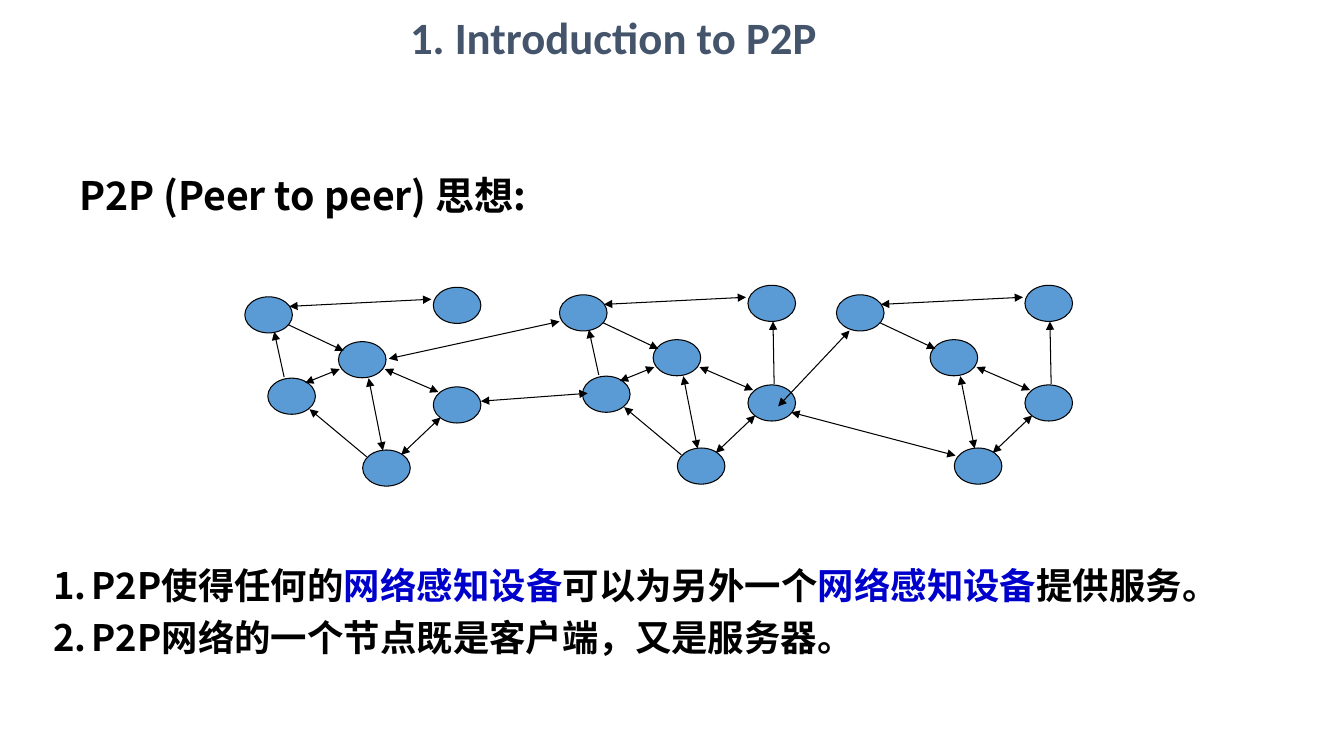
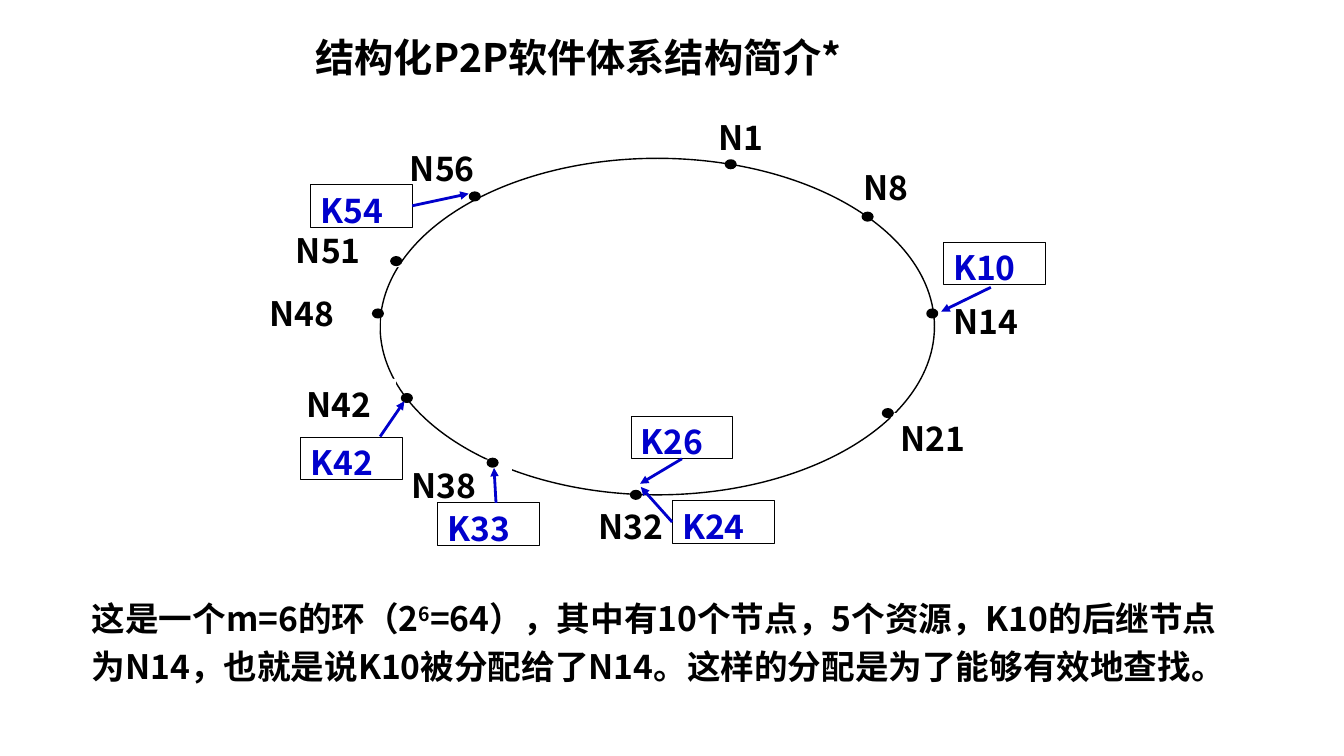
from dataclasses import dataclass

from lxml import etree
from pptx import Presentation
from pptx.dml.color import RGBColor
from pptx.enum.shapes import MSO_CONNECTOR, MSO_SHAPE as SHAPE
from pptx.enum.text import MSO_ANCHOR as ANCHOR, MSO_AUTO_SIZE as AUTO_SIZE, PP_ALIGN as ALIGN
from pptx.oxml.ns import qn
from pptx.util import Cm, Pt


@dataclass(frozen=True)
class Theme:
    cjk: str = "Noto Sans CJK SC"
    latin: str = "Calibri"
    black: str = "000000"
    white: str = "FFFFFF"
    slate: str = "44546A"
    node: str = "5B9BD5"
    key: str = "0000CC"
    title: int = 32
    heading: int = 28
    points: int = 26
    body: int = 24
    hairline: float = 0.5
    thin: float = 0.75
    ring: float = 1
    dot: float = 1.5
    thick: float = 2


T = Theme()


def put_text(p, text, size=T.body, color=T.black, font=T.cjk, align=ALIGN.LEFT, baseline=None):
    p.alignment = align
    r = p.add_run()
    r.text = text
    r.font.size, r.font.bold, r.font.name = Pt(size), True, font
    r.font.color.rgb = RGBColor.from_string(color)
    rPr = r._r.get_or_add_rPr()
    etree.SubElement(rPr, qn("a:ea")).set("typeface", font)
    if baseline:
        rPr.set("baseline", str(baseline * 1000))


def add_shape(s, kind, box, fill=None, line=None, width=T.thin):
    """Add a flat shape; box is left, top, width, height in cm."""
    sp = s.shapes.add_shape(kind, *map(Cm, box))
    sp.shadow.inherit = False
    if fill:
        sp.fill.solid()
        sp.fill.fore_color.rgb = RGBColor.from_string(fill)
    else:
        sp.fill.background()
    if line:
        sp.line.color.rgb = RGBColor.from_string(line)
        sp.line.width = Pt(width)
    else:
        sp.line.fill.background()
    sp.text_frame.vertical_anchor = ANCHOR.TOP
    return sp


prs = Presentation()
prs.slide_width, prs.slide_height = Cm(33.87), Cm(19.05)

# Titles
titles = [
    ("1. Introduction to P2P", (10.08, 0.05, 12.4, 1.75), 1,
     dict(size=T.title, color=T.slate, font=T.latin)),
    ("结构化P2P软件体系结构简介*", (7.7, 0.53, 17.83, 1.96), 0.9, dict(size=T.heading)),
]
slides = []
for text, box, spacing, style in titles:
    s = prs.slides.add_slide(prs.slide_layouts[5])
    title = s.shapes.title
    title.left, title.top, title.width, title.height = map(Cm, box)
    tf = title.text_frame
    tf.auto_size, tf.vertical_anchor, tf.word_wrap = AUTO_SIZE.NONE, ANCHOR.MIDDLE, True
    tf.paragraphs[0].line_spacing = spacing
    put_text(tf.paragraphs[0], text, **style)
    slides.append(s)
intro, chord = slides

# Text blocks: each paragraph is a list of (text, format) runs
key = dict(size=T.points, color=T.key)
plain = dict(size=T.points)
blocks = [
    (intro, (1.75, 4.19, 13.82, 1.45), False, None,
     [[("P2P (Peer to peer) 思想:", dict(size=T.heading))]]),
    (intro, (1.09, 14.07, 30.45, 2.69), True, None,
     [[("P2P使得任何的", plain), ("网络感知设备", key), ("可以为另外一个", plain),
       ("网络感知设备", key), ("提供服务。", plain)],
      [("P2P网络的一个节点既是客户端，又是服务器。", plain)]]),
    (chord, (2.06, 14.73, 29.54, 2.72), False, 1.2,
     [[("这是一个m=6的环（2", {}), ("6", dict(baseline=30)),
       ("=64），其中有10个节点，5个资源，K10的后继节点为N14，也就是说K10被分配给了N14。"
        "这样的分配是为了能够有效地查找。", {})]]),
]
for s, box, numbered, spacing, paragraphs in blocks:
    tf = s.shapes.add_textbox(*map(Cm, box)).text_frame
    tf.word_wrap = True
    for i, runs in enumerate(paragraphs):
        p = tf.add_paragraph() if i else tf.paragraphs[0]
        if numbered:
            pPr = p._p.get_or_add_pPr()
            pPr.set("marL", str(Cm(0.97)))
            pPr.set("indent", str(-Cm(0.97)))
            etree.SubElement(pPr, qn("a:buFont")).set("typeface", "+mj-lt")
            etree.SubElement(pPr, qn("a:buAutoNum")).set("type", "arabicPeriod")
        if i:
            p.space_before = Pt(6)
        if spacing:
            p.line_spacing = spacing
        for text, style in runs:
            put_text(p, text, **style)

arrows = []  # slide, ends, colour, width, double-headed, (shape, side) at the start

# Peer clusters: places are relative to each cluster's corner
peers = {"NW": (0, 0.24), "NE": (4.75, 0), "hub": (2.36, 1.37),
         "W": (0.58, 2.29), "E": (4.75, 2.51), "S": (2.97, 4.1)}
links = [
    ("S", "E", (3.94, 4.22, 4.93, 3.28), True),
    ("S", "hub", (3.48, 4.11, 3.12, 2.29), True),
    ("E", "hub", (4.88, 2.64, 3.53, 2.06), True),
    ("E", "NE", (5.41, 2.49, 5.38, 0.91), False),
    ("S", "W", (3.07, 4.27, 1.63, 3.07), False),
    ("W", "hub", (1.52, 2.41, 2.39, 2.06), True),
    ("W", "NW", (0.99, 2.26, 0.74, 1.12), False),
    ("NW", "hub", (1.09, 0.94, 2.49, 1.6), False),
    ("NW", "NE", (1.12, 0.48, 4.7, 0.3), True),
]
clusters = [  # corner, missing peer, missing link
    (6.17, 7.24, None, ("E", "NE")),
    (14.1, 7.19, None, None),
    (21.08, 7.19, "W", None),
]
for x, y, no_peer, no_link in clusters:
    for name, (dx, dy) in peers.items():
        if name != no_peer:
            add_shape(intro, SHAPE.OVAL, (x + dx, y + dy, 1.2, 0.91), T.node, T.black)
    for a, b, (x1, y1, x2, y2), double in links:
        if no_peer not in (a, b) and (a, b) != no_link:
            ends = (x + x1, y + y1, x + x2, y + y2)
            arrows.append((intro, ends, T.black, T.thin, double, None))

bridges = [(12.12, 10.11, 14.81, 9.91), (9.8, 9.04, 14.1, 8.1),
           (19.61, 10.24, 21.41, 8.33), (19.94, 10.39, 24.08, 11.48)]
for ends in bridges:
    arrows.append((intro, ends, T.black, T.thin, True, None))

# Ring of nodes: label left, top, width, then dot left, top
add_shape(chord, SHAPE.OVAL, (9.58, 3.99, 13.97, 8.48), None, T.black, T.ring)
ring_nodes = {
    "N1": (17.5, 2.82, 2.49, 18.29, 4.04),
    "N8": (21.51, 4.09, 2.49, 21.74, 5.36),
    "N14": (23.77, 7.47, 3.25, 23.37, 7.8),
    "N21": (22.45, 10.41, 3.2, 22.25, 10.31),
    "N32": (14.83, 12.62, 2.54, 15.9, 12.37),
    "N38": (10.11, 11.58, 2.79, 12.29, 11.56),
    "N42": (7.47, 9.55, 2.51, 10.13, 9.93),
    "N48": (6.55, 7.26, 3.02, 9.4, 7.8),
    "N51": (7.21, 5.66, 2.9, 9.86, 6.48),
    "N56": (10.08, 3.61, 2.57, 11.84, 4.85),
}
label_height = 1.07
for name, (x, y, w, _, _) in ring_nodes.items():
    sp = add_shape(chord, SHAPE.RECTANGLE, (x, y, w, label_height), T.white)
    p = sp.text_frame.paragraphs[0]
    if name == "N1":
        p._p.get_or_add_pPr().set("indent", str(Cm(0.36)))
    put_text(p, name, align=ALIGN.JUSTIFY)
for _, _, _, x, y in ring_nodes.values():
    add_shape(chord, SHAPE.OVAL, (x, y, 0.25, 0.2), T.black, T.black, T.dot)

# Keys: box corner, arrow ends, side of the box the arrow is joined to
keys = [
    ("K10", (23.77, 6.1), (24.97, 7.24, 23.72, 7.85), None),
    ("K24", (16.94, 12.62), (16.94, 13.16, 16.15, 12.27), 1),
    ("K26", (15.9, 10.49), (17.18, 11.56, 16.13, 12.19), 2),
    ("K33", (11.02, 12.67), (12.5, 12.67, 12.45, 11.79), None),
    ("K54", (7.82, 4.65), (10.39, 5.18, 11.81, 4.88), 3),
    ("K42", (7.57, 11.02), (9.58, 11, 10.19, 10.11), None),
]
for name, (x, y), ends, side in keys:
    sp = add_shape(chord, SHAPE.RECTANGLE, (x, y, 2.57, label_height),
                   T.white, T.black, T.hairline)
    put_text(sp.text_frame.paragraphs[0], name, color=T.key, align=ALIGN.JUSTIFY)
    joint = None if side is None else (sp, side)
    arrows.append((chord, ends, T.key, T.thick, False, joint))

# Arrows
for s, ends, color, width, double, joint in arrows:
    c = s.shapes.add_connector(MSO_CONNECTOR.STRAIGHT, *map(Cm, ends))
    if joint:
        c.begin_connect(*joint)
    c.line.color.rgb = RGBColor.from_string(color)
    c.line.width = Pt(width)
    ln = c.line._get_or_add_ln()
    for tag in ("a:headEnd", "a:tailEnd") if double else ("a:tailEnd",):
        etree.SubElement(ln, qn(tag)).set("type", "triangle")
    etree.SubElement(c._element.spPr, qn("a:effectLst"))

prs.save("out.pptx")
